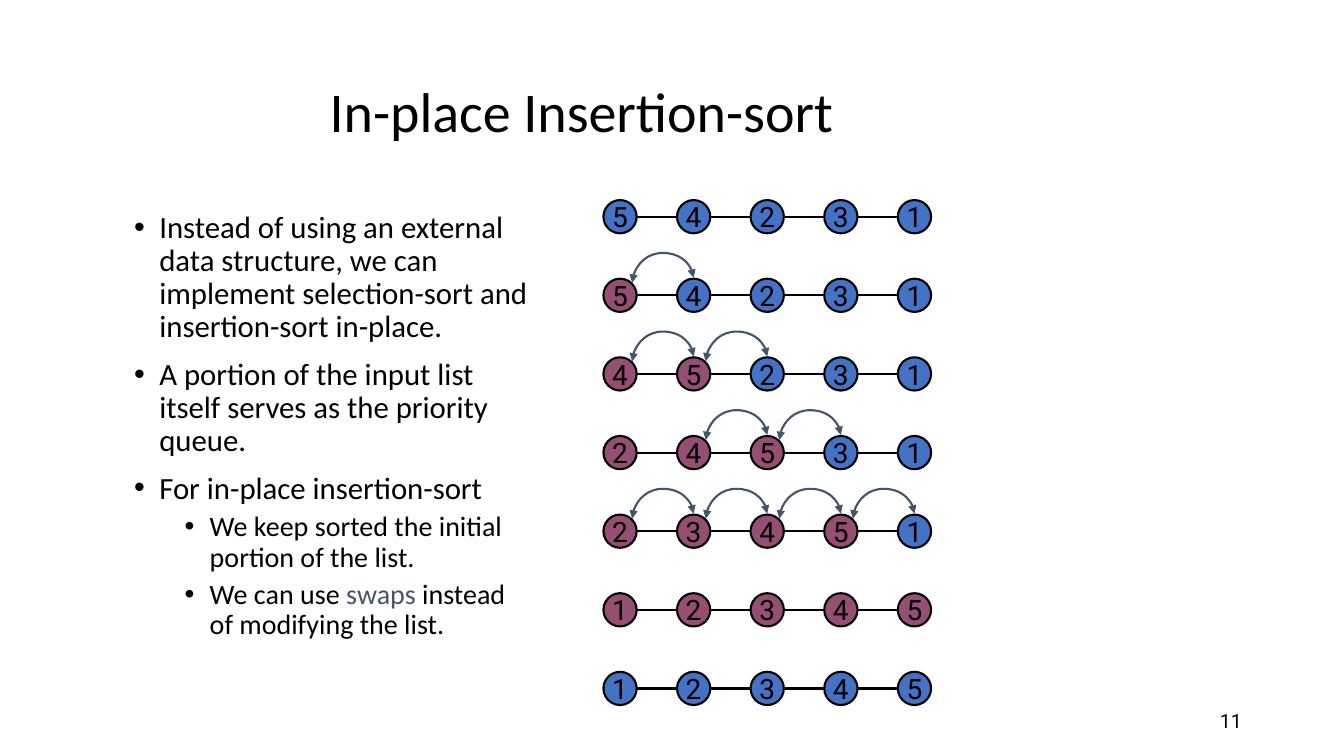
from lxml import etree
from pptx import Presentation
from pptx.dml.color import RGBColor
from pptx.enum.shapes import MSO_CONNECTOR, MSO_SHAPE
from pptx.enum.text import MSO_ANCHOR, MSO_AUTO_SIZE, PP_ALIGN
from pptx.oxml.ns import qn
from pptx.util import Inches, Pt

OVAL = MSO_SHAPE.OVAL
LINE, CURVE = MSO_CONNECTOR.STRAIGHT, MSO_CONNECTOR.CURVE
LEFT, MID, RIGHT = PP_ALIGN.LEFT, PP_ALIGN.CENTER, PP_ALIGN.RIGHT
TOP, CENTER = MSO_ANCHOR.TOP, MSO_ANCHOR.MIDDLE
FIXED = MSO_AUTO_SIZE.NONE

BLACK, BLUE, PLUM, SLATE = "000000", "4472C4", "954F72", "44546A"
WIDE, HIGH = 13.33, 7.5

# Node grid, in inches: centre of the first node and the pitch
LEFT0, TOP0, COL, ROW = 6.15, 2.15, 0.73, 0.78
SIZE = 0.33

# Values in list order, length of the sorted part, left ends of the swaps
STEPS = [
    ("54231", 0, []),
    ("54231", 1, [0]),
    ("45231", 2, [1, 0]),
    ("24531", 3, [1, 2]),
    ("23451", 4, [3, 1, 0, 2]),
    ("12345", 5, []),
    ("12345", 0, []),
]

# Level and coloured runs of each bullet
POINTS = [
    (0, [("Instead of using an external data structure, we can implement "
          "selection-sort and insertion-sort in-place.", BLACK)]),
    (0, [("A portion of the input list itself serves as the priority queue.",
          BLACK)]),
    (0, [("For in-place insertion-sort", BLACK)]),
    (1, [("We keep sorted the initial portion of the list.", BLACK)]),
    (1, [("We can use ", BLACK), ("swaps", SLATE),
         (" instead of modifying the list.", BLACK)]),
]


def color(code):
    return RGBColor.from_string(code)


def apply(item, **values):
    for name, value in values.items():
        setattr(item, name, value)


def add(parent, tag, **values):
    return etree.SubElement(parent, qn(tag), values)


class Deck:
    def __init__(self):
        self.prs = Presentation()
        apply(self.prs, slide_width=Inches(WIDE), slide_height=Inches(HIGH))
        self.slide = self.prs.slides.add_slide(self.prs.slide_layouts[1])

    def place(self, x, y, w, h):
        """Turn percentages of the slide's size into a box."""
        return dict(left=Inches(x * WIDE / 100), top=Inches(y * HIGH / 100),
                    width=Inches(w * WIDE / 100),
                    height=Inches(h * HIGH / 100))

    def text(self, para, words, size, face, code=BLACK):
        run = para.add_run()
        run.text = words
        apply(run.font, size=Pt(size), name=face)
        run.font.color.rgb = color(code)

    def title(self, words, box):
        shape = self.slide.shapes.title
        apply(shape, **box)
        apply(shape.text_frame, vertical_anchor=CENTER, auto_size=FIXED)
        para = shape.text_frame.paragraphs[0]
        apply(para, alignment=LEFT, line_spacing=0.9)
        self.text(para, words, 40, "Calibri")

    def bullets(self, points, box):
        shape = self.slide.placeholders[1]
        apply(shape, **box)
        frame = shape.text_frame
        apply(frame, vertical_anchor=TOP, auto_size=FIXED)
        for i, (level, runs) in enumerate(points):
            para = frame.add_paragraph() if i else frame.paragraphs[0]
            apply(para, level=level, line_spacing=0.9,
                  space_before=Pt((10, 5)[level] if i else 0))
            props = para._p.get_or_add_pPr()
            props.set("marL", str(Inches(0.25 + level / 2)))
            props.set("indent", str(Inches(-0.25)))
            add(props, "a:buFont", typeface="Arial")
            add(props, "a:buChar", char="•")
            for words, code in runs:
                self.text(para, words, 22 - 2 * level, "Calibri", code)

    def label(self, words, box):
        frame = self.slide.shapes.add_textbox(**box).text_frame
        apply(frame, word_wrap=True, vertical_anchor=CENTER)
        para = frame.paragraphs[0]
        para.alignment = RIGHT
        self.text(para, words, 14, "Roboto")

    def link(self, shapes, kind, code, *ends):
        line = shapes.add_connector(kind, *map(Inches, ends))
        line.line.width = Pt(1.5)
        line.line.color.rgb = color(code)
        add(line._element.spPr, "a:effectLst")
        return line

    def node(self, shapes, words, fill, x, y):
        shape = shapes.add_shape(OVAL, Inches(x - SIZE / 2),
                                 Inches(y - SIZE / 2), Inches(SIZE),
                                 Inches(SIZE))
        shape.shadow.inherit = False
        shape.fill.solid()
        shape.fill.fore_color.rgb = color(fill)
        shape.line.width = Pt(1.5)
        shape.line.color.rgb = color(BLACK)
        apply(shape.text_frame, word_wrap=False, vertical_anchor=CENTER)
        para = shape.text_frame.paragraphs[0]
        para.alignment = MID
        self.text(para, words, 20, "Roboto")

    def chain(self, row, values, done):
        """Draw one list, with its first `done` nodes in plum."""
        shapes = self.slide.shapes.add_group_shape().shapes
        y = TOP0 + row * ROW
        last = LEFT0 + (len(values) - 1) * COL
        self.link(shapes, LINE, BLACK, LEFT0 + SIZE / 2, y,
                  last - SIZE / 2, y)
        for i, value in enumerate(values):
            self.node(shapes, value, PLUM if i < done else BLUE,
                      LEFT0 + i * COL, y)

    def swap(self, row, col):
        """Arch a double arrow from a node to the next one."""
        span, rise = COL - 0.12, 0.05
        x = LEFT0 + col * COL + 0.12 + span / 2
        y = TOP0 + row * ROW - 0.15
        # The box stands upright and is turned a quarter
        line = self.link(self.slide.shapes, CURVE, SLATE,
                         x - rise / 2, y - span / 2,
                         x + rise / 2, y + span / 2)
        props = line._element.spPr
        turn = dict(rot="16200000", flipH="1", flipV="1")
        for name, value in turn.items():
            props.find(qn("a:xfrm")).set(name, value)
        guides = props.find(qn("a:prstGeom")).get_or_add_avLst()
        add(guides, "a:gd", name="adj1", fmla="val -492900")
        stroke = props.find(qn("a:ln"))
        for end in ("a:headEnd", "a:tailEnd"):
            add(stroke, end, type="triangle")


def main():
    deck = Deck()
    deck.label("11", deck.place(70.65, 92.67, 22.5, 5.33))
    deck.title("In-place Insertion-sort", deck.place(23.78, 8.93, 51.83, 12.4))
    deck.bullets(POINTS, deck.place(9.23, 27.33, 31.28, 66.67))
    for row, (values, done, _) in enumerate(STEPS):
        deck.chain(row, values, done)
    for row, (_, _, swaps) in enumerate(STEPS):
        for col in swaps:
            deck.swap(row, col)
    deck.prs.save("out.pptx")


if __name__ == "__main__":
    main()
